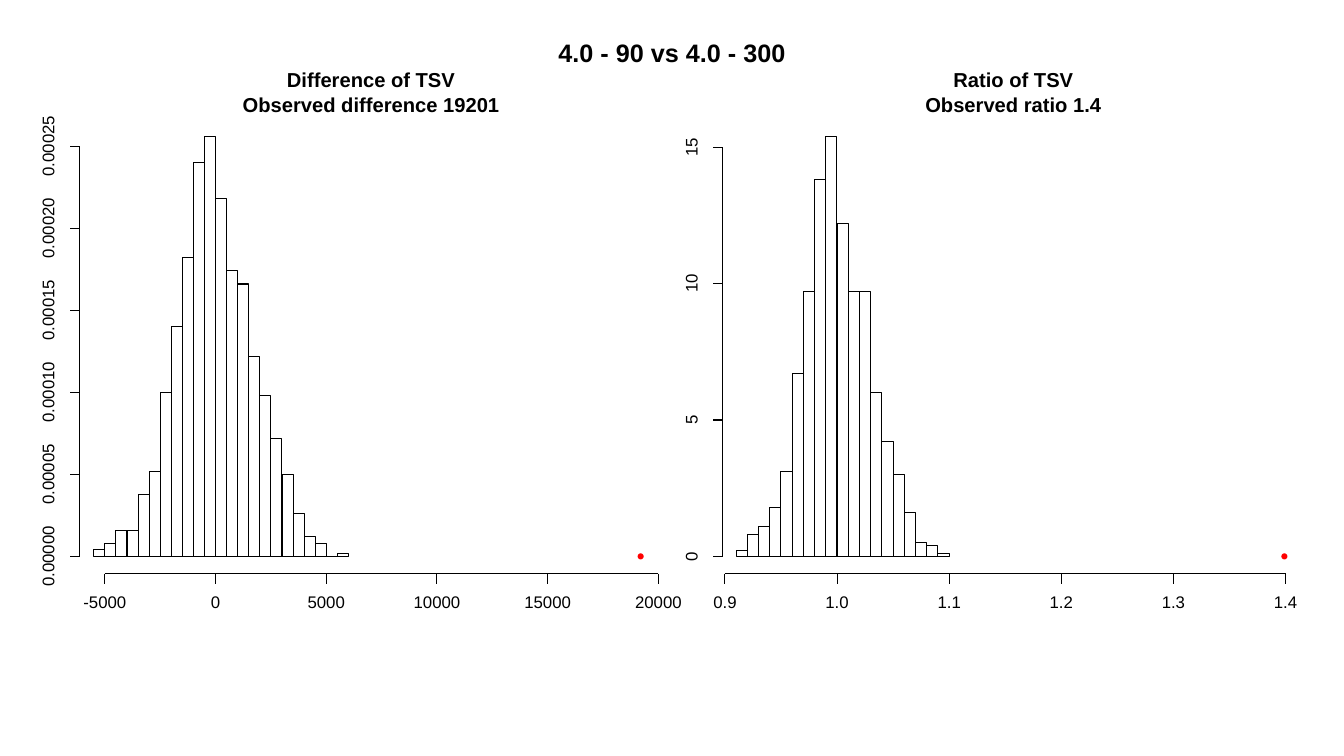
from pptx import Presentation
from pptx.dml.color import RGBColor as RGB
from pptx.enum.shapes import MSO_CONNECTOR as Link, MSO_SHAPE as Kind
from pptx.enum.text import MSO_ANCHOR as Anchor, PP_ALIGN as Align
from pptx.oxml.ns import qn
from pptx.util import Inches, Pt
from lxml import etree

# Content: bars are in units of the top tick, dot and first bar in columns
TITLE = ("4.0 - 90 vs 4.0 - 300", 2.25)
PANELS = [
    dict(heads=[("Difference of TSV", 1.67), ("Observed difference 19201", 2.55)],
         mid=3.68, left=1.04, right=6.53, axis=0.79, top=1.45, peak=250,
         xs=["-5000", "0", "5000", "10000", "15000", "20000"],
         ys=["0.00000", "0.00005", "0.00010", "0.00015", "0.00020", "0.00025"],
         first=-1, dot=48.4,
         bars=[4, 8, 16, 16, 38, 52, 100, 140, 182, 240, 256, 218, 174, 166,
               122, 98, 72, 50, 26, 12, 8, 0, 2]),
    dict(heads=[("Ratio of TSV", 1.19), ("Observed ratio 1.4", 1.75)],
         mid=10.05, left=7.19, right=12.75, axis=7.17, top=1.46, peak=15,
         xs=["0.9", "1.0", "1.1", "1.2", "1.3", "1.4"],
         ys=["0", "5", "10", "15"],
         first=1, dot=49.9,
         bars=[0.2, 0.8, 1.1, 1.8, 3.1, 6.7, 9.7, 13.8, 15.4, 12.2, 9.7, 9.7,
               6, 4.2, 3, 1.6, 0.5, 0.4, 0.1]),
]
HEX = {"ink": "000000", "dot": "FF0000", "paper": "FFFFFF"}
WIDE, HIGH = 13.33, 7.5
BASE, RULE, TICK = 5.52, 5.69, 0.1      # bar foot, x axis, tick length
COLS = 50                               # columns along each x axis
SLACK = 0.06                            # spare width that keeps text on one line

deck = Presentation()
deck.slide_width, deck.slide_height = Inches(WIDE), Inches(HIGH)
slide = deck.slides.add_slide(deck.slide_layouts[6])
shapes = slide.shapes


def color(name):
    return RGB.from_string(HEX[name])


def line(x1, y1, x2, y2):
    link = shapes.add_connector(Link.STRAIGHT, *map(Inches, (x1, y1, x2, y2)))
    link.line.color.rgb = color("ink")
    link.line.width = Pt(0.75)
    etree.SubElement(link._element.spPr, qn("a:effectLst"))


def mark(kind, x, y, w, h, edge, fill=None):
    part = shapes.add_shape(kind, *map(Inches, (x, y, w, h)))
    part.shadow.inherit = False
    part.line.color.rgb = color(edge)
    part.line.width = Pt(0.75)
    if fill:
        part.fill.solid()
        part.fill.fore_color.rgb = color(fill)
    else:
        part.fill.background()


def write(text, x, y, w, size, bold=False, turn=0):
    """Place one line of text centred on x, y."""
    w, h = w + SLACK, size / 100
    box = shapes.add_textbox(*map(Inches, (x - w / 2, y - h / 2, w, h)))
    box.rotation = turn
    frame = box.text_frame
    frame.text = text
    frame.word_wrap = False
    frame.vertical_anchor = Anchor.MIDDLE
    frame.margin_left = frame.margin_right = 0
    frame.margin_top = frame.margin_bottom = 0
    para = frame.paragraphs[0]
    para.alignment = Align.CENTER
    para.line_spacing = Pt(size)
    font = para.runs[0].font
    font.name, font.size, font.bold = "Arial", Pt(size), bold
    font.color.rgb = color("ink")


def label(text, x, y, turn=0):
    width = sum(0.09 if c.isdigit() else 0.05 for c in text)
    write(text, x, y, width, 12, turn=turn)


def draw(p):
    left, axis = p["left"], p["axis"]
    col = (p["right"] - left) / COLS
    span = BASE - p["top"]

    # Headings
    for i, (text, width) in enumerate(p["heads"]):
        write(text, p["mid"], 0.81 + i * 0.25, width, 14.4, True)

    # Horizontal axis
    line(left, RULE, p["right"], RULE)
    for i, text in enumerate(p["xs"]):
        x = left + i * COLS / (len(p["xs"]) - 1) * col
        line(x, RULE, x, RULE + TICK)
        label(text, x, RULE + 0.3)

    # Vertical axis
    line(axis, BASE, axis, p["top"])
    for i, text in enumerate(p["ys"]):
        y = BASE - i * span / (len(p["ys"]) - 1)
        line(axis, y, axis - TICK, y)
        label(text, axis - 0.3, y, 270)

    # Bars and observed value
    for i, value in enumerate(p["bars"], p["first"]):
        tall = value / p["peak"] * span
        mark(Kind.RECTANGLE, left + i * col, BASE - tall, col, tall, "ink")
    size = 0.05
    mark(Kind.OVAL, left + p["dot"] * col - size / 2, BASE - size / 2,
         size, size, "dot", "dot")


# Plot sheet, panels and title
mark(Kind.RECTANGLE, 0.29, 0.29, 12.76, 5.91, "paper", "paper")
for panel in PANELS:
    draw(panel)
write(TITLE[0], WIDE / 2, 0.55, TITLE[1], 18, True)

deck.save("out.pptx")
